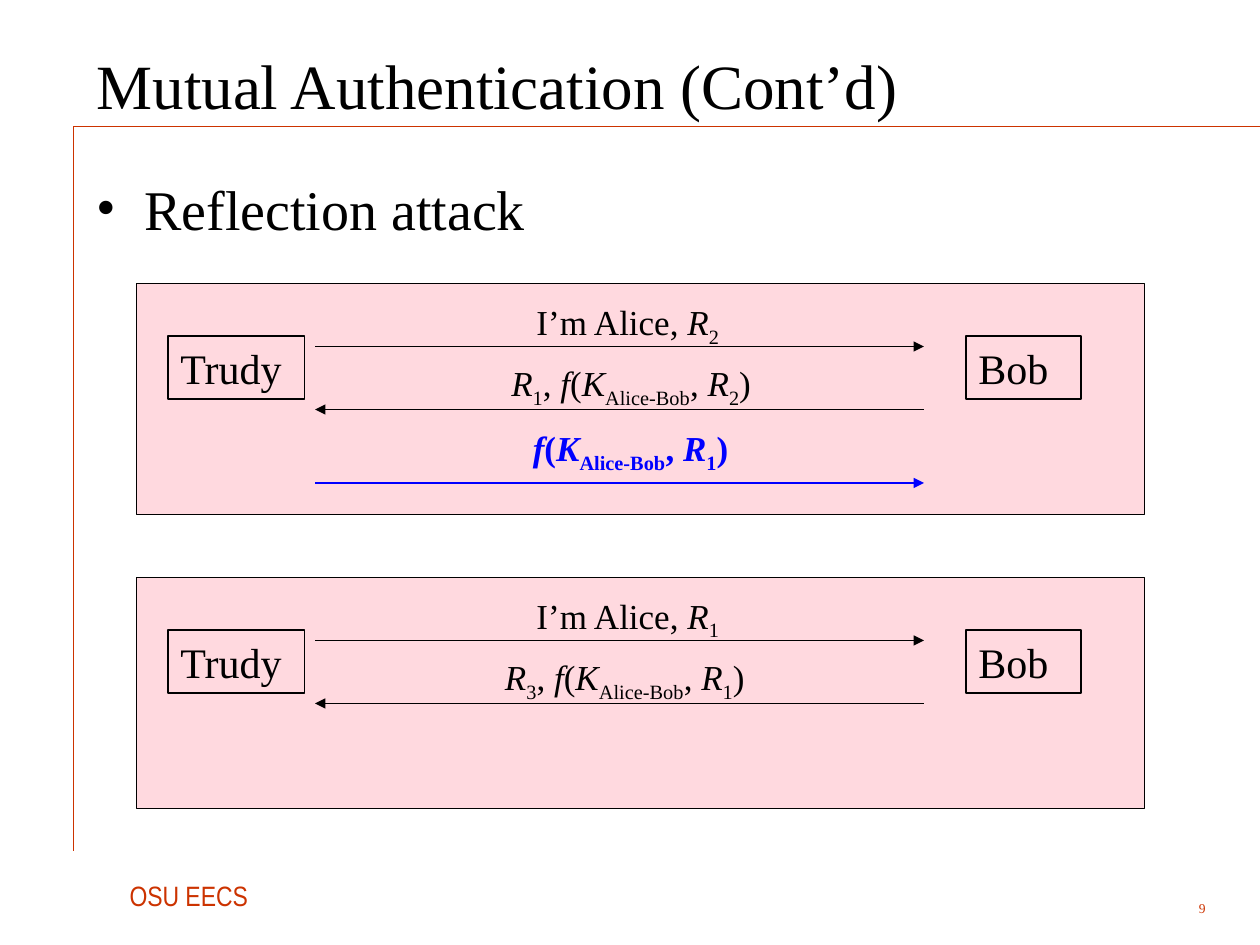
from lxml.etree import SubElement
from pptx import Presentation
from pptx.dml.color import RGBColor
from pptx.enum.shapes import MSO_CONNECTOR, MSO_SHAPE
from pptx.enum.text import MSO_ANCHOR, MSO_AUTO_SIZE, PP_ALIGN
from pptx.oxml.ns import qn
from pptx.util import Inches, Pt

CELL = 1 / 12  # the slide is a grid of 120 columns by 90 rows
BLACK, BLUE, RUST, PINK = "000000", "0000FF", "CC3300", "FFD9DF"


def color(hex_code):
    """Turn a hex string into a colour."""
    return RGBColor.from_string(hex_code)


def grid(*cells):
    """Turn columns and rows into lengths."""
    return [Inches(cell * CELL) for cell in cells]


def write(frame, text, size=20, font="Times New Roman", ink=BLACK, bold=False,
          align=PP_ALIGN.LEFT, anchor=MSO_ANCHOR.TOP, wrap=True, before=0):
    """Fill a frame; | parts runs, a leading * is italic, a leading _ is subscript."""
    frame.word_wrap = wrap
    frame.auto_size = MSO_AUTO_SIZE.NONE
    frame.vertical_anchor = anchor
    paragraph = frame.paragraphs[0]
    paragraph.alignment = align
    paragraph.space_before = Pt(before)
    for part in text.split("|"):
        run = paragraph.add_run()
        run.text = part.lstrip("*_")
        run.font.name = font
        run.font.size = Pt(size)
        run.font.bold = bold
        run.font.italic = part.startswith("*")
        run.font.color.rgb = color(ink)
        if part.startswith("_"):
            run.font._element.set("baseline", "-25000")
    return paragraph


class ProtocolSlide:
    """The current slide and the style of its elements."""

    def __init__(self, deck):
        """Add a title-only slide."""
        self.slide = deck.slides.add_slide(deck.slide_layouts[5])
        self.shapes = self.slide.shapes

    def title(self, text, left, top, width, height):
        """Place and fill the title placeholder."""
        heading = self.shapes.title
        heading.left, heading.top, heading.width, heading.height = grid(left, top, width, height)
        write(heading.text_frame, text, size=36, anchor=MSO_ANCHOR.MIDDLE)

    def text(self, text, left, top, width, height, **style):
        """Add a text box and return its paragraph."""
        label = self.shapes.add_textbox(*grid(left, top, width, height))
        return write(label.text_frame, text, **style)

    def bullet(self, text, *place):
        """Add a bulleted line with a hanging indent."""
        properties = self.text(text, *place, size=32, before=8)._p.get_or_add_pPr()
        properties.set("marL", str(Inches(0.38)))
        properties.set("indent", str(-Inches(0.38)))
        SubElement(properties, qn("a:buFont"), typeface="Times New Roman")
        SubElement(properties, qn("a:buChar"), char="•")

    def box(self, left, top, width, height, fill=None, text=None):
        """Add an outlined rectangle, filled or labelled on request."""
        outline = self.shapes.add_shape(MSO_SHAPE.RECTANGLE, *grid(left, top, width, height))
        outline.shadow.inherit = False
        outline.line.color.rgb = color(BLACK)
        outline.line.width = Pt(1)
        if fill:
            outline.fill.solid()
            outline.fill.fore_color.rgb = color(fill)
        else:
            outline.fill.background()
        if text:
            write(outline.text_frame, text, size=24)

    def line(self, start, end, ink=BLACK, weight=1, arrow=False):
        """Add a straight line, with an arrowhead at its end on request."""
        stroke = self.shapes.add_connector(MSO_CONNECTOR.STRAIGHT, *grid(*start, *end))
        stroke.line.color.rgb = color(ink)
        stroke.line.width = Pt(weight)
        if arrow:
            SubElement(stroke.line._get_or_add_ln(), qn("a:tailEnd"), type="triangle")
        SubElement(stroke._element.spPr, qn("a:effectLst"))

    def exchange(self, top, messages):
        """Draw a panel with both parties and the messages between them."""
        self.box(13, top, 96, 22, fill=PINK)
        self.box(16, top + 5, 13, 6, text="Trudy")
        self.box(92, top + 5, 11, 6, text="Bob")
        trudy_side, bob_side = 30, 88
        rows = [(1, 6), (6.86, 12), (13, 19)]
        for index, (message, left, width, ink) in enumerate(messages):
            text_row, arrow_row = rows[index]
            ends = [(trudy_side, top + arrow_row), (bob_side, top + arrow_row)]
            if index % 2:
                ends.reverse()
            self.line(*ends, ink=ink, arrow=True)
            self.text(message, left, top + text_row, width, 5.76,
                      ink=ink, bold=ink == BLUE, wrap=False)


def proof(challenge):
    """Write the keyed function of a challenge."""
    return f"*f|(|*K|_Alice-Bob|, |*R|_{challenge}|)"


deck = Presentation()
deck.slide_width, deck.slide_height = grid(120, 90)
page = ProtocolSlide(deck)

page.line((7, 12), (120, 12), ink=RUST, weight=0.26)
page.line((7, 12), (7, 81), ink=RUST, weight=0.74)
page.text("OSU EECS", 11.16, 83.04, 14.28, 4.44,
          size=16, font="Arial Narrow", ink=RUST, wrap=False, before=4)
page.text("9", 106, 85, 10, 3, size=7.7, ink=RUST,
          align=PP_ALIGN.RIGHT, anchor=MSO_ANCHOR.MIDDLE)
page.title("Mutual Authentication (Cont’d)", 8, 2, 108, 12)
page.bullet("Reflection attack", 8, 16, 108, 9)

page.exchange(27, [
    ("I’m Alice, |*R|_2", 49.92, 19.92, BLACK),
    ("*R|_1|, |" + proof(2), 47.52, 24.84, BLACK),
    (proof(1), 49.56, 21, BLUE),
])
page.exchange(55, [
    ("I’m Alice, |*R|_1", 49.92, 19.92, BLACK),
    ("*R|_3|, |" + proof(1), 46.92, 24.84, BLACK),
])

deck.save("out.pptx")
